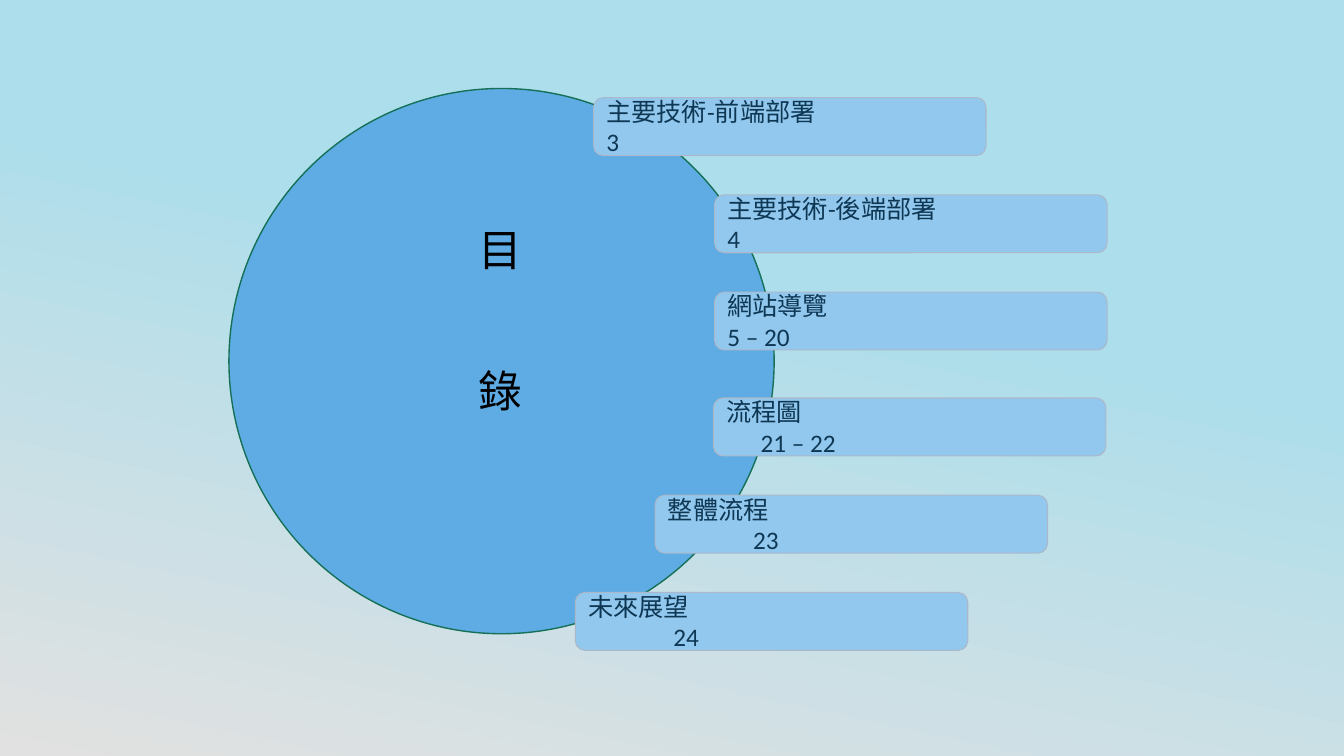
from copy import deepcopy

from pptx import Presentation
from pptx.dml.color import RGBColor
from pptx.enum.shapes import MSO_SHAPE as Shape
from pptx.enum.text import MSO_ANCHOR as Anchor, MSO_AUTO_SIZE as AutoSize, PP_ALIGN as Align
from pptx.util import Cm, Pt

# Content: heading, then (topic, pages, left edge, page indent) in cm
HEADING = ["目", "錄"]
TOPIC_GROUPS = [
    (2.46, [
        ("主要技術-前端部署", "3", 14.96, 0),
        ("主要技術-後端部署", "4", 18.01, 0),
        ("網站導覽", "5 – 20", 18.01, 0),
    ]),
    (10.03, [
        ("流程圖", "21 – 22", 17.98, 0.87),
        ("整體流程", "23", 16.51, 2.15),
        ("未來展望", "24", 14.5, 2.15),
    ]),
]
BACKGROUND = [(0, "ADDEEB"), (0.39, "ADDEEB"), (1, "E1E1E1")]
PILL_WIDTH, PILL_HEIGHT, PILL_PITCH = 9.89, 1.46, 2.45


def rgb(value):
    return RGBColor.from_string(value)


def add_panel(slide, kind, box, fill, line, line_width):
    panel = slide.shapes.add_shape(kind, *(Cm(v) for v in box))
    panel.shadow.inherit = False
    panel.fill.solid()
    panel.fill.fore_color.rgb = rgb(fill)
    panel.line.color.rgb = rgb(line)
    panel.line.width = Pt(line_width)
    return panel


def write_lines(frame, lines, font, size, color, align):
    frame.word_wrap = True
    frame.auto_size = AutoSize.NONE
    frame.vertical_anchor = Anchor.MIDDLE
    for i, line in enumerate(lines):
        paragraph = frame.paragraphs[0] if i == 0 else frame.add_paragraph()
        paragraph.alignment = align
        run = paragraph.add_run()
        run.text = line
        run.font.name = font
        run.font.size = Pt(size)
        run.font.color.rgb = rgb(color)
    return frame.paragraphs


def paint_background(slide):
    fill = slide.background.fill
    fill.gradient()
    fill.gradient_angle = 258
    first = fill.gradient_stops[0]._gs
    first.addnext(deepcopy(first))
    for stop, (position, color) in zip(fill.gradient_stops, BACKGROUND):
        stop.position = position
        stop.color.rgb = rgb(color)


def add_topic(slide, topic, pages, left, top, indent):
    pill = add_panel(slide, Shape.ROUNDED_RECTANGLE,
                     (left, top, PILL_WIDTH, PILL_HEIGHT), "92C8ED", "ACB8CA", 0.75)
    lines = write_lines(pill.text_frame, [topic, pages], "Calibri", 18, "0E3754", Align.LEFT)
    if indent:
        lines[1]._p.get_or_add_pPr().set("marL", str(Cm(indent)))


def main():
    deck = Presentation()
    deck.slide_width, deck.slide_height = Cm(33.87), Cm(19.05)
    slide = deck.slides.add_slide(deck.slide_layouts[5])
    paint_background(slide)

    # Circle, placed behind the heading
    circle = add_panel(slide, Shape.OVAL, (5.77, 2.23, 13.74, 13.74), "5EACE3", "157057", 1)
    heading = slide.shapes.title
    heading._element.addprevious(circle._element)

    # Heading, one character above the other
    heading.left, heading.top, heading.width, heading.height = (
        Cm(v) for v in (10.74, 3.86, 3.76, 8.53))
    characters = write_lines(heading.text_frame, HEADING, "Arial", 31.2, "000000", Align.CENTER)
    for character in characters:
        character.line_spacing = 0.9
        character.space_before = Pt(0)
    characters[1].space_before = Pt(67)

    # Topics along the right edge of the circle
    for start, topics in TOPIC_GROUPS:
        for row, (topic, pages, left, indent) in enumerate(topics):
            add_topic(slide, topic, pages, left, start + row * PILL_PITCH, indent)

    deck.save("out.pptx")


if __name__ == "__main__":
    main()
